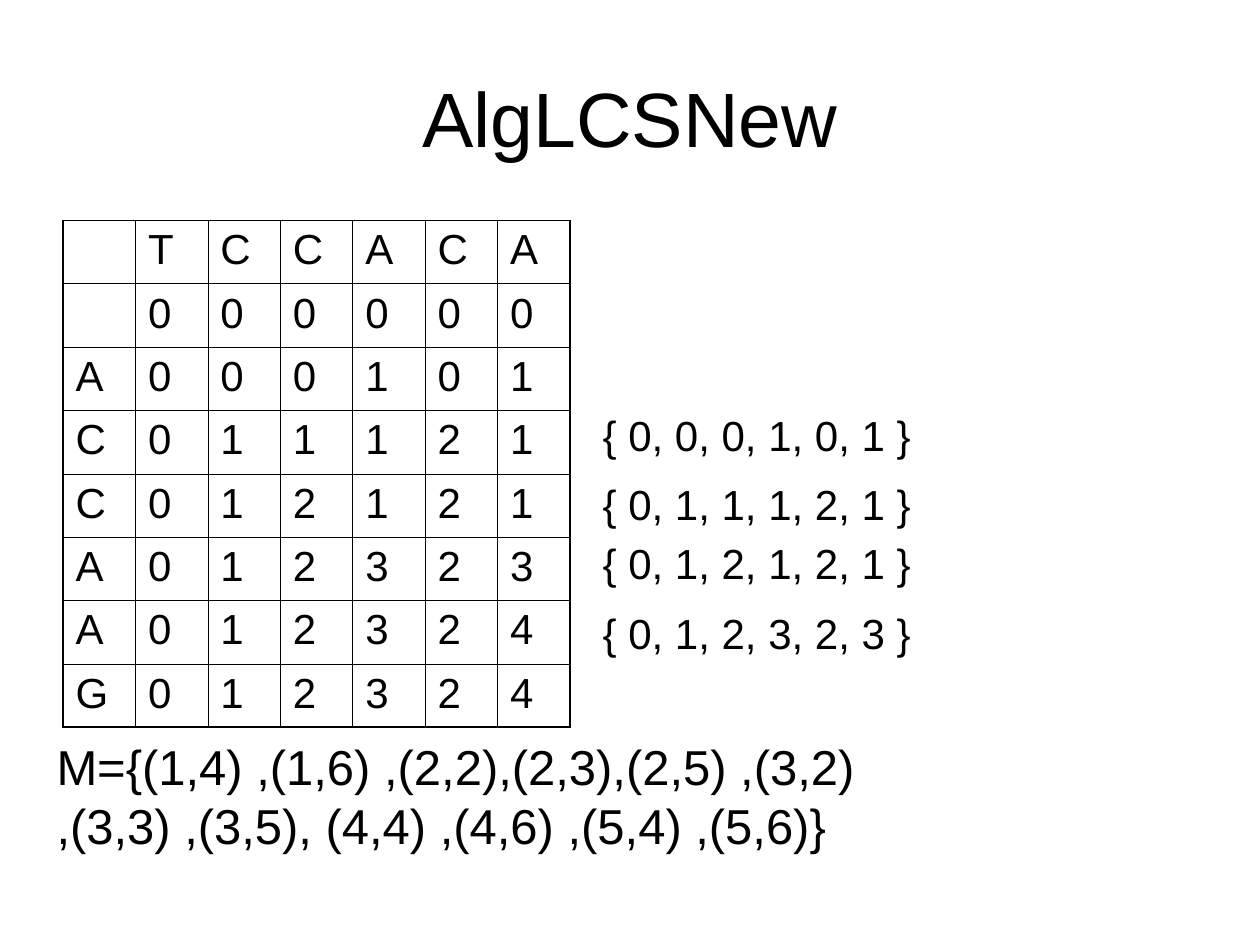
import dataclasses

import lxml.etree
import pptx
import pptx.dml.color
import pptx.enum.text
import pptx.oxml.ns
import pptx.util

SLIDE_WIDTH, SLIDE_HEIGHT = pptx.util.Inches(10), pptx.util.Inches(7.5)
GRID_COLUMNS, GRID_ROWS = 100, 75
FONT = "Arial"
INK = "000000"
INNER_LINE, OUTER_LINE = 0.45, 1.08

ACROSS = "TCCACA"
DOWN = " ACCAAG"
SCORES = ["000000", "000101", "011121", "012121", "012323", "012324", "012324"]
TABLE_ROWS = [" " + ACROSS] + [label + scores for label, scores in zip(DOWN, SCORES)]
MATCHES = ("M={(1,4) ,(1,6) ,(2,2),(2,3),(2,5) ,(3,2) "
           ",(3,3) ,(3,5), (4,4) ,(4,6) ,(5,4) ,(5,6)}")
SCORE_SET_TOPS = [32, 37.5, 42.2, 47.7]


@dataclasses.dataclass(frozen=True)
class Area:
    """A rectangle in columns and rows of the slide grid."""
    column: float
    row: float
    columns: float
    rows: float

    def lengths(self) -> tuple[int, int, int, int]:
        across, down = SLIDE_WIDTH / GRID_COLUMNS, SLIDE_HEIGHT / GRID_ROWS
        return (round(self.column * across), round(self.row * down),
                round(self.columns * across), round(self.rows * down))


TITLE_AREA = Area(5, 3, 90, 12.5)
TABLE_AREA = Area(5, 17.5, 40.25, 40.25)
MATCHES_AREA = Area(3.5, 58, 66.1, 10.4)


def color(value: str) -> pptx.dml.color.RGBColor:
    return pptx.dml.color.RGBColor.from_string(value)


def write(frame, text: str, *, size: float, fill: str = INK,
          align=pptx.enum.text.PP_ALIGN.LEFT,
          anchor=pptx.enum.text.MSO_ANCHOR.TOP) -> None:
    frame.vertical_anchor = anchor
    paragraph = frame.paragraphs[0]
    paragraph.alignment = align
    run = paragraph.add_run()
    run.text = text
    run.font.name = FONT
    run.font.size = pptx.util.Pt(size)
    run.font.color.rgb = color(fill)


def place(shape, area: Area) -> None:
    shape.left, shape.top, shape.width, shape.height = area.lengths()


def add_text(slide, area: Area, text: str, *, size: float, wrap: bool) -> None:
    frame = slide.shapes.add_textbox(*area.lengths()).text_frame
    frame.word_wrap = wrap
    frame.auto_size = pptx.enum.text.MSO_AUTO_SIZE.SHAPE_TO_FIT_TEXT
    write(frame, text, size=size)


def set_borders(cell, widths: dict[str, float]) -> None:
    """Draw the cell's sides, given in the order L, R, T, B."""
    qualified = pptx.oxml.ns.qn
    properties = cell._tc.get_or_add_tcPr()
    for position, (side, width) in enumerate(widths.items()):
        line = lxml.etree.Element(qualified(f"a:ln{side}"), w=str(pptx.util.Pt(width)))
        fill = lxml.etree.SubElement(line, qualified("a:solidFill"))
        lxml.etree.SubElement(fill, qualified("a:srgbClr"), val=INK)
        properties.insert(position, line)


def add_score_table(slide, area: Area, rows: list[str]) -> None:
    row_count, column_count = len(rows), len(rows[0])
    left, top, width, height = area.lengths()
    table = slide.shapes.add_table(row_count, column_count, left, top, width, height).table
    table.first_row = table.horz_banding = False
    for column in table.columns:
        column.width = round(width / column_count)
    for row in table.rows:
        row.height = round(height / row_count)
    for row_index, row in enumerate(rows):
        for column_index, text in enumerate(row):
            cell = table.cell(row_index, column_index)
            cell.fill.background()
            on_edge = {
                "L": column_index == 0,
                "R": column_index == column_count - 1,
                "T": row_index == 0,
                "B": row_index == row_count - 1,
            }
            set_borders(cell, {side: OUTER_LINE if edge else INNER_LINE
                               for side, edge in on_edge.items()})
            if text.strip():
                write(cell.text_frame, text, size=24)


def main() -> None:
    presentation = pptx.Presentation()
    presentation.slide_width, presentation.slide_height = SLIDE_WIDTH, SLIDE_HEIGHT
    slide = presentation.slides.add_slide(presentation.slide_layouts[5])

    title = slide.shapes.title
    place(title, TITLE_AREA)
    write(title.text_frame, "AlgLCSNew", size=44,
          align=pptx.enum.text.PP_ALIGN.CENTER,
          anchor=pptx.enum.text.MSO_ANCHOR.MIDDLE)

    add_text(slide, MATCHES_AREA, MATCHES, size=28, wrap=True)
    add_score_table(slide, TABLE_AREA, TABLE_ROWS)
    for top, scores in zip(SCORE_SET_TOPS, SCORES[1:]):
        add_text(slide, Area(46.85, top, 26.7, 5), f"{{ {', '.join(scores)} }}",
                 size=24, wrap=False)

    presentation.save("out.pptx")


if __name__ == "__main__":
    main()
